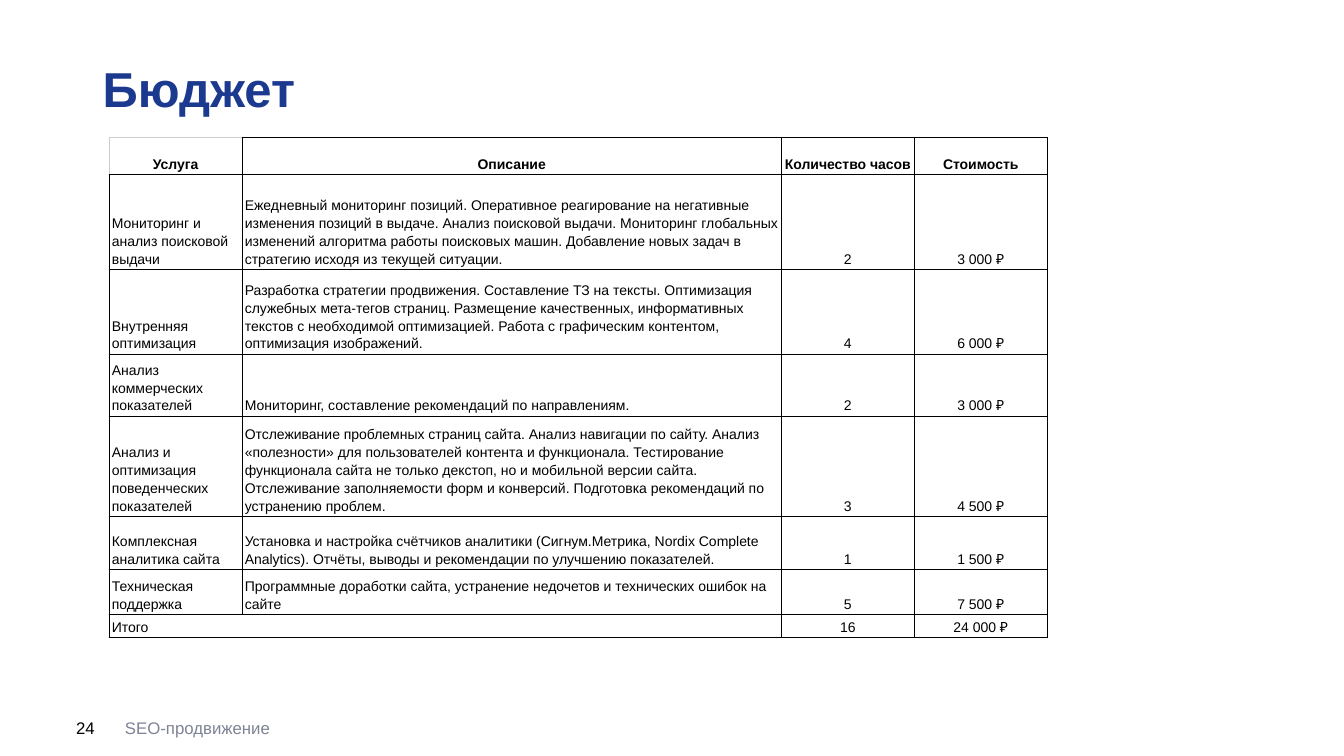
from lxml import etree
from pptx import Presentation
from pptx.dml.color import RGBColor
from pptx.enum.text import MSO_ANCHOR, PP_ALIGN
from pptx.oxml.ns import qn
from pptx.util import Cm, Pt

LEFT, CENTER, RIGHT = PP_ALIGN.LEFT, PP_ALIGN.CENTER, PP_ALIGN.RIGHT
TOP, MIDDLE, BOTTOM = MSO_ANCHOR.TOP, MSO_ANCHOR.MIDDLE, MSO_ANCHOR.BOTTOM
BLACK = RGBColor(0x00, 0x00, 0x00)
WHITE = RGBColor(0xFF, 0xFF, 0xFF)
BLUE = RGBColor(0x1B, 0x39, 0x8F)
SLATE = RGBColor(0x7E, 0x84, 0x95)
SILVER = RGBColor(0xCC, 0xCC, 0xCC)

HEADINGS = ["Услуга", "Описание", "Количество часов", "Стоимость"]
SERVICES = [
    ["Мониторинг и анализ поисковой выдачи",
     "Ежедневный мониторинг позиций. Оперативное реагирование на негативные "
     "изменения позиций в выдаче. Анализ поисковой выдачи. Мониторинг глобальных "
     "изменений алгоритма работы поисковых машин. Добавление новых задач в "
     "стратегию исходя из текущей ситуации.",
     "2", "3 000 ₽"],
    ["Внутренняя оптимизация",
     "Разработка стратегии продвижения. Составление ТЗ на тексты. Оптимизация "
     "служебных мета-тегов страниц. Размещение качественных, информативных "
     "текстов с необходимой оптимизацией. Работа с графическим контентом, "
     "оптимизация изображений.",
     "4", "6 000 ₽"],
    ["Анализ коммерческих показателей",
     "Мониторинг, составление рекомендаций по направлениям.",
     "2", "3 000 ₽"],
    ["Анализ и оптимизация поведенческих показателей",
     "Отслеживание проблемных страниц сайта. Анализ навигации по сайту. Анализ "
     "«полезности» для пользователей контента и функционала. Тестирование "
     "функционала сайта не только декстоп, но и мобильной версии сайта. "
     "Отслеживание заполняемости форм и конверсий. Подготовка рекомендаций по "
     "устранению проблем.",
     "3", "4 500 ₽"],
    ["Комплексная аналитика сайта",
     "Установка и настройка счётчиков аналитики (Сигнум.Метрика, Nordix Complete "
     "Analytics). Отчёты, выводы и рекомендации по улучшению показателей.",
     "1", "1 500 ₽"],
    ["Техническая поддержка",
     "Программные доработки сайта, устранение недочетов и технических ошибок на сайте",
     "5", "7 500 ₽"],
]
TOTAL = ["Итого", "", "16", "24 000 ₽"]
COLUMN_WIDTHS = [3.35, 13.59, 3.35, 3.35]
ROW_HEIGHTS = [0.93, 2.41, 2.12, 1.32, 2.52, 1.32, 1.14, 0.56]


def write(frame, text, size, color, bold=False, align=LEFT, spacing=None):
    frame.text = text
    frame.word_wrap = True
    paragraph = frame.paragraphs[0]
    paragraph.alignment = align
    paragraph.line_spacing = spacing
    for run in paragraph.runs:
        run.font.name = "Arial"
        run.font.size = Pt(size)
        run.font.bold = bold
        run.font.color.rgb = color


def draw_borders(cell, colors):
    properties = cell._tc.get_or_add_tcPr()
    for position, (side, color) in enumerate(colors.items()):
        line = etree.Element(qn("a:" + side), w=str(Pt(0.75)))
        fill = etree.SubElement(line, qn("a:solidFill"))
        etree.SubElement(fill, qn("a:srgbClr"), val=str(color))
        properties.insert(position, line)


presentation = Presentation()
presentation.slide_width = Cm(33.87)
presentation.slide_height = Cm(19.05)
slide = presentation.slides.add_slide(presentation.slide_layouts[6])

captions = [
    ("24", (0, 17.65, 2.64, 1.4), (0.25, 0.13, 0.25), MIDDLE, 12, BLACK, False, RIGHT, None),
    ("SEO-продвижение", (2.64, 18.06, 25.88, 0.51), (0.51, 0, 0.71), MIDDLE, 12, SLATE, False, LEFT, 1.14),
    ("Бюджет", (0, 1.35, 33.87, 12.37), (2.59, 0.13, 2.59), TOP, 35, BLUE, True, LEFT, None),
]
for text, place, (left, vertical, right), anchor, *style in captions:
    frame = slide.shapes.add_textbox(*map(Cm, place)).text_frame
    frame.margin_left, frame.margin_right = Cm(left), Cm(right)
    frame.margin_top = frame.margin_bottom = Cm(vertical)
    frame.vertical_anchor = anchor
    write(frame, text, *style)

rows = [HEADINGS, *SERVICES, TOTAL]
budget = slide.shapes.add_table(
    len(rows), len(HEADINGS), Cm(2.75), Cm(3.46),
    Cm(sum(COLUMN_WIDTHS)), Cm(sum(ROW_HEIGHTS))).table
budget.first_row = budget.horz_banding = False
for column, width in zip(budget.columns, COLUMN_WIDTHS):
    column.width = Cm(width)
for row, height in zip(budget.rows, ROW_HEIGHTS):
    row.height = Cm(height)

for r, row in enumerate(rows):
    for c, text in enumerate(row):
        cell = budget.cell(r, c)
        cell.margin_left = cell.margin_right = Cm(0.07)
        cell.margin_top = cell.margin_bottom = Cm(0.05)
        cell.vertical_anchor = BOTTOM
        if row is TOTAL:
            cell.fill.background()
        else:
            cell.fill.solid()
            cell.fill.fore_color.rgb = WHITE
        is_heading = row is HEADINGS
        align = CENTER if is_heading or c > 1 else LEFT
        write(cell.text_frame, text, 10, BLACK, is_heading, align, 1.15)
        outer = SILVER if r == c == 0 else BLACK
        draw_borders(cell, {"lnL": outer, "lnR": BLACK, "lnT": outer, "lnB": BLACK})
budget.cell(len(rows) - 1, 0).merge(budget.cell(len(rows) - 1, 1))

presentation.save("out.pptx")
